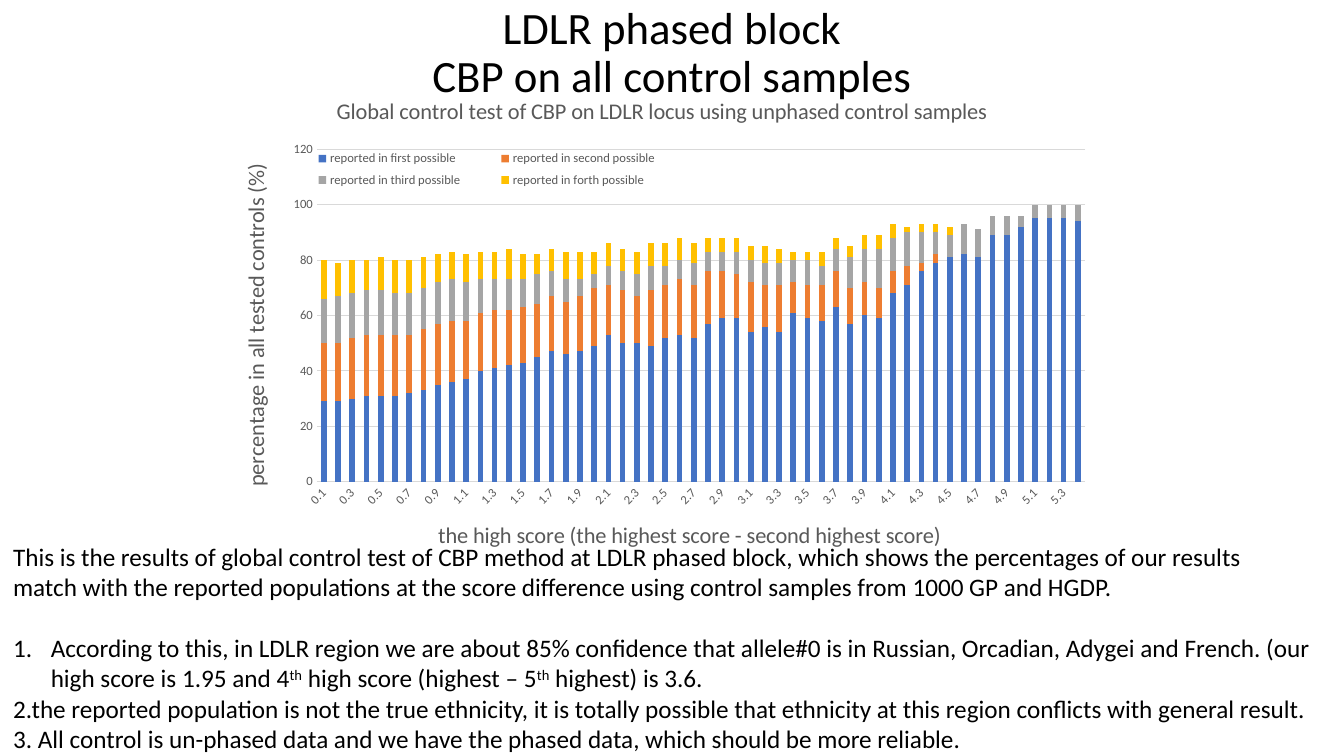
from lxml.etree import SubElement
from pptx import Presentation
from pptx.chart.data import CategoryChartData
from pptx.dml.color import RGBColor
from pptx.enum.chart import XL_CHART_TYPE, XL_LEGEND_POSITION, XL_TICK_MARK
from pptx.enum.text import MSO_ANCHOR, PP_ALIGN
from pptx.oxml import parse_xml
from pptx.oxml.ns import nsdecls, qn
from pptx.util import Cm, Pt

BLACK = RGBColor(0x00, 0x00, 0x00)
GRAY = RGBColor(0x59, 0x59, 0x59)
LIGHT_GRAY = RGBColor(0xD9, 0xD9, 0xD9)
BLUE = RGBColor(0x44, 0x72, 0xC4)
ORANGE = RGBColor(0xED, 0x7D, 0x31)
SILVER = RGBColor(0xA5, 0xA5, 0xA5)
GOLD = RGBColor(0xFF, 0xC0, 0x00)
FONT = "Calibri"


def set_font(font, size, color):
    for name, value in {"name": FONT, "size": Pt(size), "bold": False}.items():
        setattr(font, name, value)
    font.color.rgb = color


def place(element, index, **percents):
    """Give a chart part a fixed place, in percent of the chart."""
    for old in element.findall(qn("c:layout")):
        element.remove(old)
    modes = '<c:xMode val="edge"/><c:yMode val="edge"/>'
    target = '<c:layoutTarget val="inner"/>' if index == 0 else ""
    values = "".join(f'<c:{key} val="{value / 100:.4f}"/>' for key, value in percents.items())
    element.insert(index, parse_xml(
        f'<c:layout {nsdecls("c")}><c:manualLayout>{target}{modes}{values}'
        "</c:manualLayout></c:layout>"))


deck = Presentation()
deck.slide_width, deck.slide_height = Cm(33.87), Cm(19.05)
page = deck.slides.add_slide(deck.slide_layouts[6])

# Title
title_box = page.shapes.add_textbox(Cm(2.33), Cm(-0.48), Cm(29.21), Cm(3.68))
title_box.text_frame.word_wrap = True
title_box.text_frame.vertical_anchor = MSO_ANCHOR.MIDDLE
para = title_box.text_frame.paragraphs[0]
para.text = "LDLR phased block\vCBP on all control samples"
para.alignment = PP_ALIGN.CENTER
para.line_spacing = 0.9
set_font(para.font, 32, BLACK)

# Chart data
series_values = {
    "reported in first possible": (BLUE, [
        29, 29, 30, 31, 31, 31, 32, 33, 35, 36, 37, 40, 41, 42, 43, 45, 47, 46,
        47, 49, 53, 50, 50, 49, 52, 53, 52, 57, 59, 59, 54, 56, 54, 61, 59, 58,
        63, 57, 60, 59, 68, 71, 76, 79, 81, 82, 81, 89, 89, 92, 95, 95, 95, 94]),
    "reported in second possible": (ORANGE, [
        21, 21, 22, 22, 22, 22, 21, 22, 22, 22, 21, 21, 21, 20, 20, 19, 20, 19,
        20, 21, 18, 19, 17, 20, 19, 20, 19, 19, 17, 16, 18, 15, 17, 11, 12, 13,
        13, 13, 12, 11, 8, 7, 3, 3, 0, 0, 0, 0, 0, 0, 0, 0, 0, 0]),
    "reported in third possible": (SILVER, [
        16, 17, 16, 16, 16, 15, 15, 15, 15, 15, 14, 12, 11, 11, 10, 11, 9, 8,
        6, 5, 7, 7, 8, 9, 7, 7, 8, 7, 7, 8, 8, 8, 8, 8, 9, 7,
        8, 11, 12, 14, 12, 12, 11, 8, 8, 11, 10, 7, 7, 4, 5, 5, 5, 6]),
    "reported in forth possible": (GOLD, [
        14, 12, 12, 11, 12, 12, 12, 11, 10, 10, 10, 10, 10, 11, 9, 7, 8, 10,
        10, 8, 8, 8, 8, 8, 8, 8, 7, 5, 5, 5, 5, 6, 5, 3, 3, 5,
        4, 4, 5, 5, 5, 2, 3, 3, 3, 0, 0, 0, 0, 0, 0, 0, 0, 0]),
}
data = CategoryChartData()
data.categories = [f"{step / 10:.1f}" for step in range(1, 55)]
for name, (color, values) in series_values.items():
    data.add_series(name, values)

# Stacked columns
chart = page.shapes.add_chart(XL_CHART_TYPE.COLUMN_STACKED, Cm(5.56), Cm(1.98),
                              Cm(22.23), Cm(13.18), data).chart
set_font(chart.font, 10, BLACK)
plot = chart.plots[0]
for name, value in {"gap_width": 150, "overlap": 100, "vary_by_categories": False}.items():
    setattr(plot, name, value)
for series in plot.series:
    series.format.fill.solid()
    series.format.fill.fore_color.rgb = series_values[series.name][0]
place(plot._element.getparent(), 0, x=10.9, y=13.5, w=87.1, h=63.6)

# Axes
category_axis, value_axis = chart.category_axis, chart.value_axis
for axis in (category_axis, value_axis):
    axis.major_tick_mark = axis.minor_tick_mark = XL_TICK_MARK.NONE
    set_font(axis.tick_labels.font, 9, GRAY)
for name, value in {"minimum_scale": 0, "maximum_scale": 120, "major_unit": 20}.items():
    setattr(value_axis, name, value)
value_axis.format.line.fill.background()
for line in (category_axis.format.line, value_axis.major_gridlines.format.line):
    line.color.rgb = LIGHT_GRAY
    line.width = Pt(0.75)
category_axis._element.find(qn("c:txPr")).find(qn("a:bodyPr")).set("rot", "-2700000")
label_skip = parse_xml(f'<c:tickLblSkip {nsdecls("c")} val="2"/>')
category_axis._element.find(qn("c:noMultiLvlLbl")).addprevious(label_skip)

# Chart and axis titles
for heading, text, rotation, left, top in (
    (chart.chart_title, "Global control test of CBP on LDLR locus using unphased control samples",
     0, 12.7, 2.6),
    (category_axis.axis_title, "the high score (the highest score - second highest score)",
     0, 24.2, 83.6),
    (value_axis.axis_title, "percentage in all tested controls (%)", -5400000, 1.8, 15.6),
):
    heading.text_frame.text = text
    set_font(heading.text_frame.paragraphs[0].runs[0].font, 16, GRAY)
    heading.text_frame._txBody.find(qn("a:bodyPr")).set("rot", str(rotation))
    place(heading._element, 1, x=left, y=top)

# Legend
chart.has_legend = True
chart.legend.position = XL_LEGEND_POSITION.BOTTOM
chart.legend.include_in_layout = False
set_font(chart.legend.font, 9, GRAY)
place(chart.legend._element, 1, x=6.9, y=12.6, w=46.5, h=9.5)

# Notes below the chart; odd spans are superscript
notes = [
    ["This is the results of global control test of CBP method at LDLR phased block, "
     "which shows the percentages of our results match with the reported populations "
     "at the score difference using control samples from 1000 GP and HGDP."],
    ["According to this, in LDLR region we are about 85% confidence that allele#0 is in "
     "Russian, Orcadian, Adygei and French. (our high score is 1.95 and 4", "th",
     " high score (highest – 5", "th", " highest) is 3.6."],
    ["2.the reported population is not the true ethnicity, it is totally possible that "
     "ethnicity at this region conflicts with general result."],
    ["3. All control is un-phased data and we have the phased data, which should be "
     "more reliable."],
]
notes_box = page.shapes.add_textbox(Cm(0.08), Cm(13.51), Cm(33.2), Cm(7.19))
frame = notes_box.text_frame
frame.word_wrap = True
for number, texts in enumerate(notes):
    para = frame.paragraphs[0] if number == 0 else frame.add_paragraph()
    if number == 1:
        properties = para._p.get_or_add_pPr()
        properties.set("marL", str(Cm(0.95)))
        properties.set("indent", str(-Cm(0.95)))
        para.space_before = Pt(22)
        SubElement(properties, qn("a:buFont"), typeface="+mj-lt")
        SubElement(properties, qn("a:buAutoNum"), type="arabicPeriod")
    set_font(para.font, 18, BLACK)
    for position, text in enumerate(texts):
        span = para.add_run()
        span.text = text
        set_font(span.font, 18, BLACK)
        if position % 2:
            span.font._element.set("baseline", "30000")

deck.save("out.pptx")
